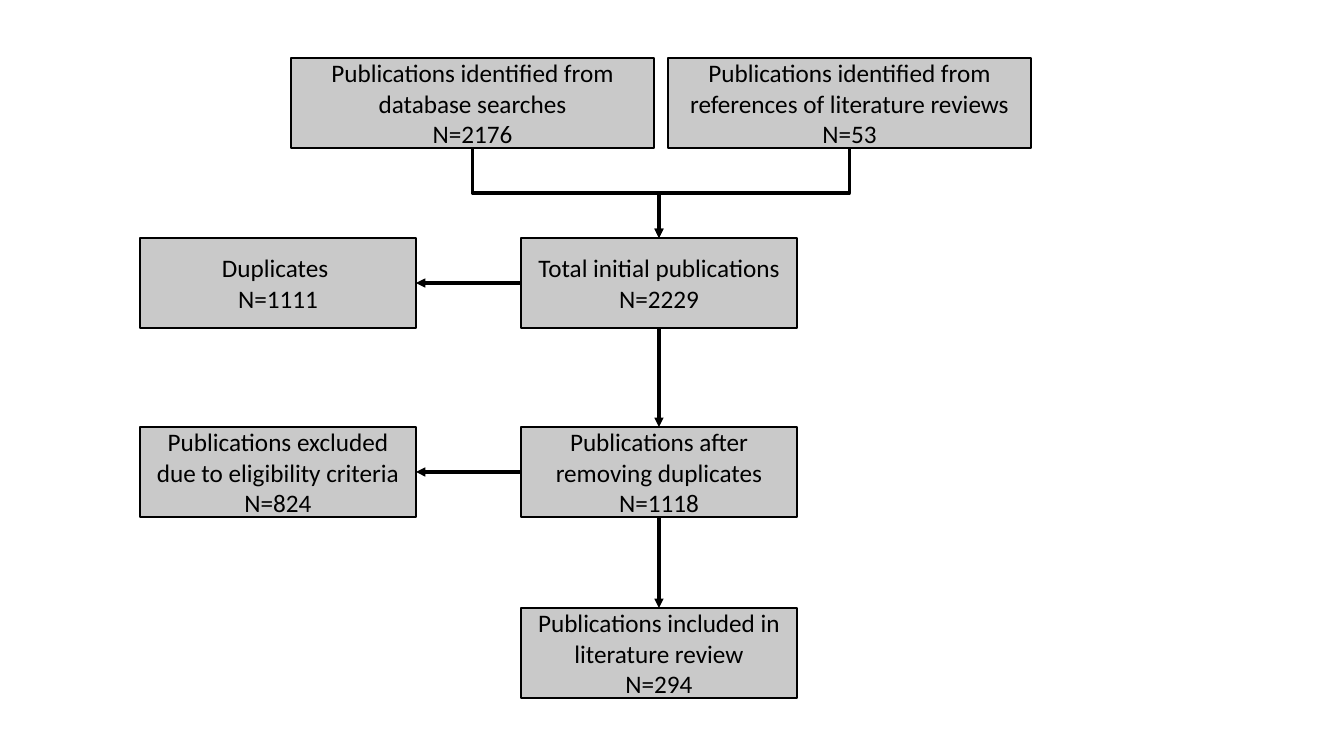
from lxml import etree
from pptx import Presentation
from pptx.dml.color import RGBColor
from pptx.enum.shapes import MSO_CONNECTOR, MSO_SHAPE
from pptx.enum.text import MSO_ANCHOR, PP_ALIGN
from pptx.oxml.ns import qn
from pptx.util import Pt

RECTANGLE = MSO_SHAPE.RECTANGLE
STRAIGHT, ELBOW = MSO_CONNECTOR.STRAIGHT, MSO_CONNECTOR.ELBOW
MIDDLE, CENTER = MSO_ANCHOR.MIDDLE, PP_ALIGN.CENTER
TOP, LEFT, BOTTOM, RIGHT = range(4)

COLORS = {"box": "C9C9C9", "ink": "000000"}
FONT = {"name": "Calibri", "size": Pt(18)}
PX = 914400 / 100.8
SLIDE_W, SLIDE_H = 1344, 756

BOX_H = 90
SOURCE_W, STAGE_W = 363, 276
SOURCE_Y, TOTAL_Y, UNIQUE_Y, INCLUDED_Y = 58, 238, 427, 608
EXCLUDED_X, STAGE_X = 140, 521

# key: (left, top, width, paragraphs)
STEPS = {
    "database": (291, SOURCE_Y, SOURCE_W,
                 ["Publications identified from database searches", "N=2176"]),
    "references": (668, SOURCE_Y, SOURCE_W,
                   ["Publications identified from references of literature reviews", "N=53"]),
    "total": (STAGE_X, TOTAL_Y, STAGE_W, ["Total initial publications N=2229"]),
    "duplicates": (EXCLUDED_X, TOTAL_Y, STAGE_W, ["Duplicates ", "N=1111"]),
    "unique": (STAGE_X, UNIQUE_Y, STAGE_W,
               ["Publications after removing duplicates", "N=1118"]),
    "ineligible": (EXCLUDED_X, UNIQUE_Y, STAGE_W,
                   ["Publications excluded due to eligibility criteria", "N=824"]),
    "included": (STAGE_X, INCLUDED_Y, STAGE_W,
                 ["Publications included in literature review", "N=294"]),
}

# (from, side, to, side, kind)
FLOWS = [
    ("database", BOTTOM, "total", TOP, ELBOW),
    ("references", BOTTOM, "total", TOP, ELBOW),
    ("total", BOTTOM, "unique", TOP, STRAIGHT),
    ("total", LEFT, "duplicates", RIGHT, STRAIGHT),
    ("unique", LEFT, "ineligible", RIGHT, STRAIGHT),
    ("unique", BOTTOM, "included", TOP, STRAIGHT),
]


def emu(px):
    return round(px * PX)


def color(key):
    return RGBColor.from_string(COLORS[key])


def add_step(slide, left, top, width, lines):
    box = slide.shapes.add_shape(RECTANGLE, *map(emu, (left, top, width, BOX_H)))
    box.shadow.inherit = False
    box.fill.solid()
    box.fill.fore_color.rgb = color("box")
    box.line.color.rgb = color("ink")
    box.line.width = Pt(1)
    frame = box.text_frame
    frame.word_wrap = True
    frame.vertical_anchor = MIDDLE
    frame.text = "\n".join(lines)
    for paragraph in frame.paragraphs:
        paragraph.alignment = CENTER
        for name, value in FONT.items():
            setattr(paragraph.font, name, value)
        paragraph.font.color.rgb = color("ink")
    return box


def turn_downward(flow):
    """Rotate an elbow a quarter turn so that it leaves and arrives vertically."""
    start, end = flow.begin_x, flow.end_x
    across, down = flow.width, flow.height
    center_x, center_y = flow.left + across // 2, flow.top + down // 2
    flow.left, flow.top = center_x - down // 2, center_y - across // 2
    flow.width, flow.height = down, across
    rightward = end > start
    xfrm = flow._element.spPr.find(qn("a:xfrm"))
    xfrm.set("rot", "16200000" if rightward else "5400000")
    xfrm.set("flipH", "1" if rightward else "0")


def add_flow(slide, source, source_side, target, target_side, kind):
    flow = slide.shapes.add_connector(kind, 0, 0, 0, 0)
    flow.begin_connect(source, source_side)
    flow.end_connect(target, target_side)
    if kind == ELBOW:
        turn_downward(flow)
    flow.line.color.rgb = color("ink")
    flow.line.width = Pt(2.25)
    etree.SubElement(flow.line._get_or_add_ln(), qn("a:tailEnd"), type="triangle")
    etree.SubElement(flow._element.spPr, qn("a:effectLst"))


def main():
    prs = Presentation()
    prs.slide_width, prs.slide_height = emu(SLIDE_W), emu(SLIDE_H)
    slide = prs.slides.add_slide(prs.slide_layouts[6])
    boxes = {key: add_step(slide, *step) for key, step in STEPS.items()}
    for source, source_side, target, target_side, kind in FLOWS:
        add_flow(slide, boxes[source], source_side, boxes[target], target_side, kind)
    prs.save("out.pptx")


if __name__ == "__main__":
    main()
